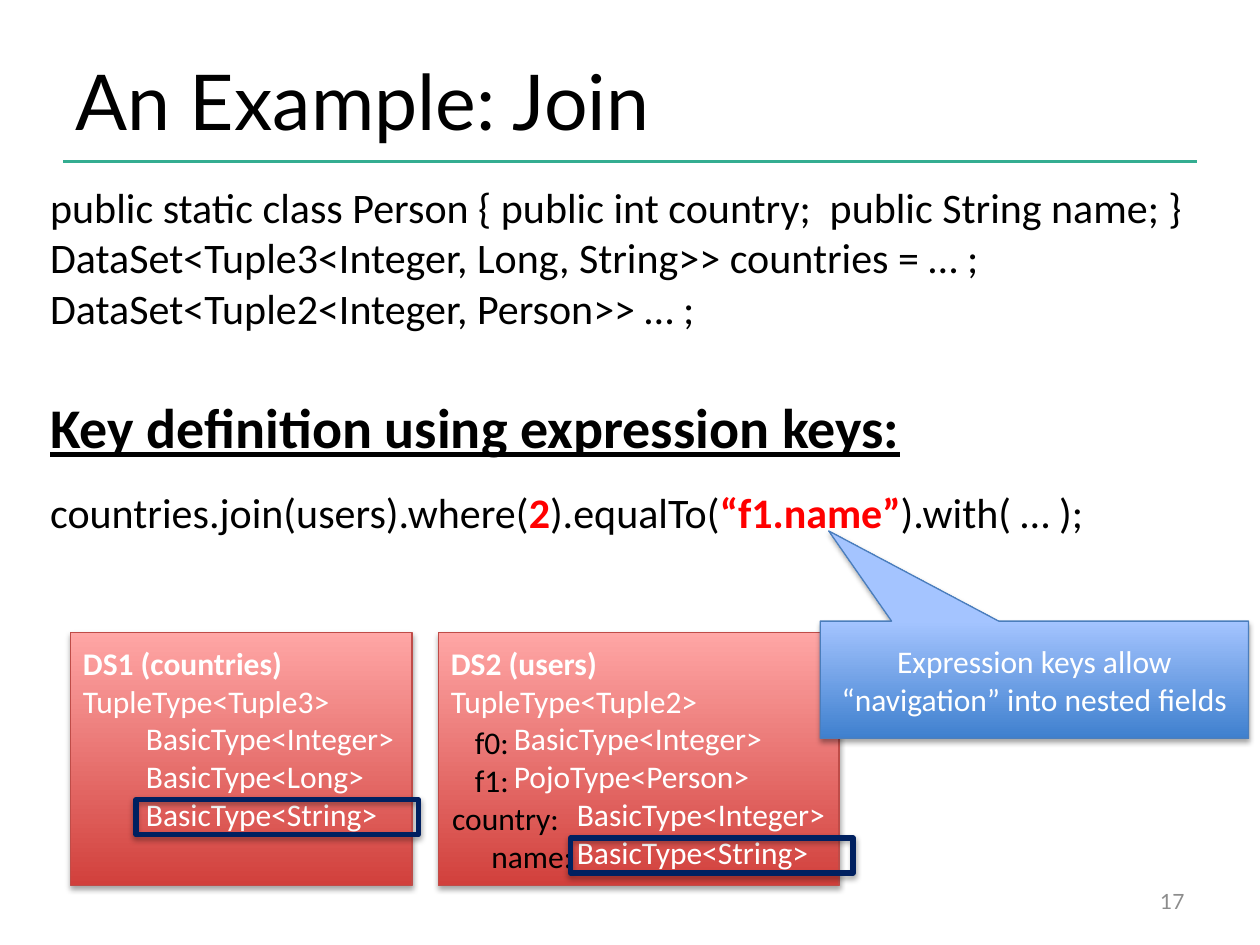
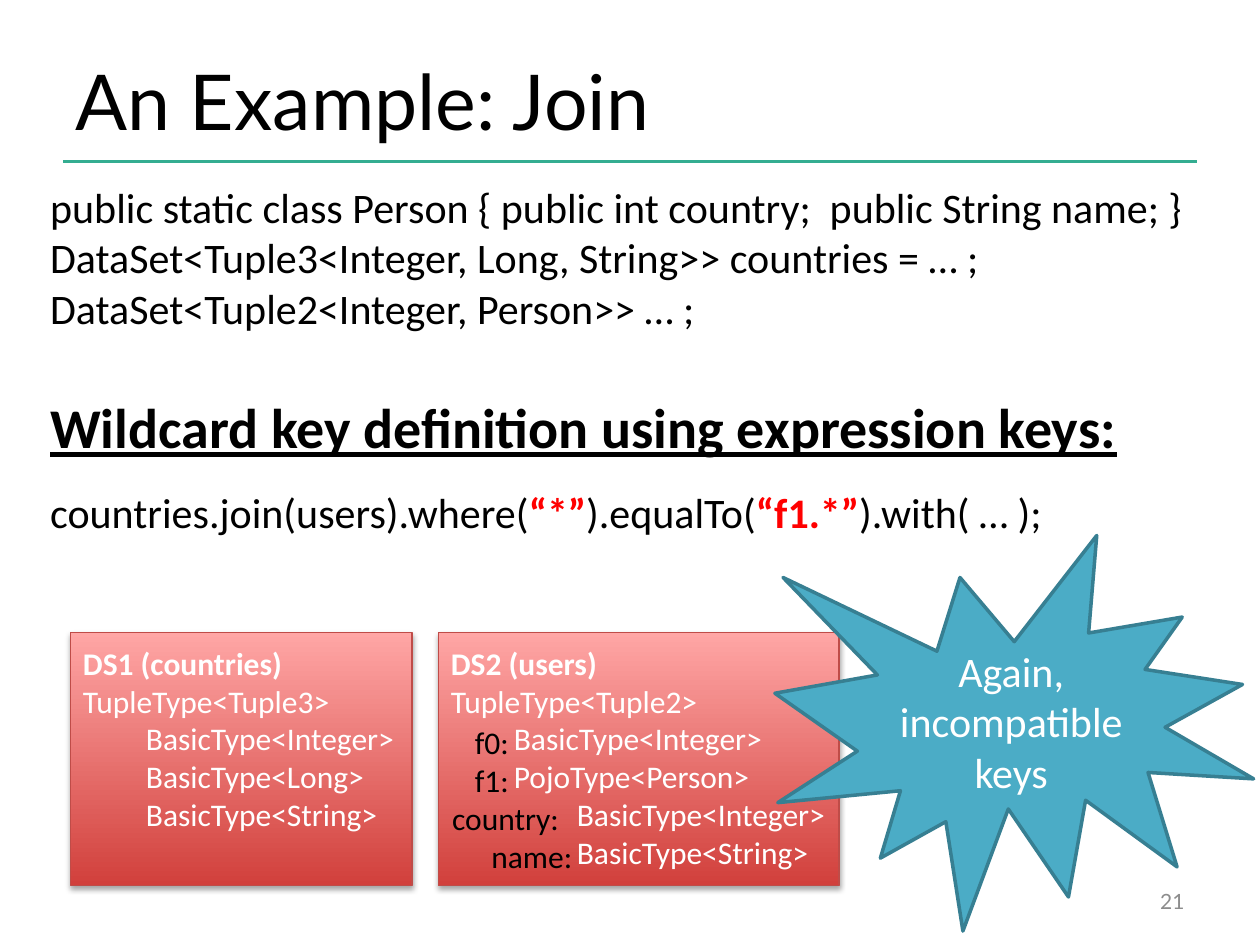
from collections import namedtuple

from lxml import etree
from pptx import Presentation, util as u
from pptx.dml.color import RGBColor
from pptx.enum import shapes, text as t
from pptx.oxml import ns

COLORS = {
    "ink": "000000", "white": "FFFFFF", "key": "FF0000", "number": "8C8C8C",
    "rule": "34AD91", "mark": "002060",
    "red_dark": "D1403C", "red_light": "FFA6A5", "red_edge": "BF4C48",
    "blue_dark": "3F80CE", "blue_light": "A4C4FF", "blue_edge": "4B7EBC",
    "burst": "4BACC6", "burst_edge": "377F92",
}
TITLE_FONT, BODY_FONT = "Lato", "Calibri"

# The slide is a grid of 100 columns and 75 rows; boxes are given in cells.
CELL = u.Inches(0.1)
COLUMNS, ROWS = 100, 75
LINE_ROWS = 3.05  # height of one 18 pt line
Box = namedtuple("Box", "left top width height")

TITLE = Box(5, 3, 81.7, 9.8)
NUMBER = Box(71.7, 69.5, 23.3, 4)
CODE = Box(3, 13.9, 95, 29.3)
HEADING = Box(3, 30.7, 92, 6.4)
COUNTRIES = Box(5.6, 50.2, 27.1, 20.1)
USERS = Box(34.8, 50.2, 31.8, 20.1)
CALLOUT = Box(65.1, 49.3, 34, 9.3)
BURST = Box(61.5, 42.5, 38, 31.4)

# Each line of a panel: its text and its indent in cells
COUNTRY_LINES = [("TupleType<Tuple3>", 0), ("BasicType<Integer>", 5),
                 ("BasicType<Long>", 5), ("BasicType<String>", 5)]
USER_LINES = [("TupleType<Tuple2>", 0), ("BasicType<Integer>", 5),
              ("PojoType<Person>", 5), ("BasicType<Integer>", 10),
              ("BasicType<String>", 10)]


def cells(count):
    return round(count * CELL)


def emu(box):
    return [cells(side) for side in box]


def inside(box, left, top, width, height):
    """Box placed by its offset from the corner of another box."""
    return Box(box.left + left, box.top + top, width, height)


def rgb(name):
    return RGBColor.from_string(COLORS[name])


def write(frame, text, size=18, color="ink", font=BODY_FONT, bold=False,
          underline=False, align=t.PP_ALIGN.LEFT, indent=0, before=0):
    """Write one paragraph; parts between bars are bold keys."""
    para = frame.add_paragraph() if frame.text else frame.paragraphs[0]
    para.alignment = align
    para.space_before = u.Pt(before)
    if indent:
        para._p.get_or_add_pPr().set("marL", str(cells(indent)))
    for index, part in enumerate(text.split("|")):
        is_key = index % 2 == 1
        span = para.add_run()
        span.text = part
        span.font.size = u.Pt(size)
        span.font.name = font
        span.font.bold = bold or is_key
        span.font.underline = underline
        span.font.color.rgb = rgb("key" if is_key else color)


def add_text_frame(page, box, anchor=t.MSO_ANCHOR.TOP):
    frame = page.shapes.add_textbox(*emu(box)).text_frame
    frame.word_wrap = True
    frame.vertical_anchor = anchor
    return frame


def add_shadow(shape):
    effects = shape._element.spPr.find(ns.qn("a:effectLst"))
    shadow = etree.SubElement(effects, ns.qn("a:outerShdw"), blurRad="40000",
                              dist="23000", dir="5400000", rotWithShape="0")
    color = etree.SubElement(shadow, ns.qn("a:srgbClr"), val=COLORS["ink"])
    etree.SubElement(color, ns.qn("a:alpha"), val="35000")


def add_shape(page, kind, box, edge, weight, fill=(), shadow=True):
    """Add a shape with no fill, one colour, or a bottom-to-top gradient."""
    shape = page.shapes.add_shape(kind, *emu(box))
    shape.shadow.inherit = False
    if shadow:
        add_shadow(shape)
    shape.line.color.rgb = rgb(edge)
    shape.line.width = u.Pt(weight)
    if len(fill) == 2:
        shape.fill.gradient()
        shape.fill.gradient_angle = 90
        for stop, name in zip(shape.fill.gradient_stops, fill):
            stop.color.rgb = rgb(name)
    elif fill:
        shape.fill.solid()
        shape.fill.fore_color.rgb = rgb(fill[0])
    else:
        shape.fill.background()
    shape.text_frame.word_wrap = True
    shape.text_frame.vertical_anchor = t.MSO_ANCHOR.MIDDLE
    return shape


def add_frame(page, title_box, number_box, number):
    """Title with the rule under it, and the slide number."""
    height = cells(title_box.top + title_box.height)
    rule = page.shapes.add_connector(
        shapes.MSO_CONNECTOR.STRAIGHT, cells(title_box.left), height,
        cells(COLUMNS - title_box.left), height)
    rule.line.color.rgb = rgb("rule")
    rule.line.width = u.Pt(2)
    etree.SubElement(rule._element.spPr, ns.qn("a:effectLst"))
    write(add_text_frame(page, title_box, t.MSO_ANCHOR.MIDDLE),
          "An Example: Join", size=44, font=TITLE_FONT)
    write(add_text_frame(page, number_box, t.MSO_ANCHOR.MIDDLE), str(number),
          size=12, font=TITLE_FONT, color="number", align=t.PP_ALIGN.RIGHT)


def add_code(page, box, heading_box, heading, join):
    frame = add_text_frame(page, box)
    for line in ("public static class Person { public int country;  public String name; }",
                 "DataSet<Tuple3<Integer, Long, String>> countries = … ;",
                 "DataSet<Tuple2<Integer, Person>> … ;"):
        write(frame, line, size=24)
    write(frame, join, size=24, before=88)
    write(add_text_frame(page, heading_box), heading, size=32, bold=True,
          underline=True)


def add_panel(page, box, heading, lines):
    panel = add_shape(page, shapes.MSO_SHAPE.RECTANGLE, box, "red_edge", 0.75,
                      ("red_dark", "red_light"))
    frame = panel.text_frame
    frame.vertical_anchor = t.MSO_ANCHOR.TOP
    frame.margin_top = cells(0.9)
    write(frame, heading, color="white", bold=True)
    for line, indent in lines:
        write(frame, line, color="white", indent=indent)


def add_field_names(page, box):
    """Names of the fields, set beside the types in the users panel."""
    outer = add_text_frame(page, inside(box, 1.9, 6.7, 6.2, 7.1))
    write(outer, "f0:")
    write(outer, "f1:")
    nested = add_text_frame(page, inside(box, 0.1, 12.7, 11.5, 7.1))
    write(nested, "country:")
    write(nested, "name:", align=t.PP_ALIGN.RIGHT)


def add_mark(page, panel_box, left, row):
    """Outline one line of a panel."""
    add_shape(page, shapes.MSO_SHAPE.RECTANGLE,
              inside(panel_box, left, 1.05 + row * LINE_ROWS, 22.4, 2.8),
              "mark", 3)


def add_callout(page, box):
    callout = add_shape(page, shapes.MSO_SHAPE.RECTANGULAR_CALLOUT, box,
                        "blue_edge", 0.75, ("blue_dark", "blue_light"))
    callout.adjustments[0] = -0.48
    callout.adjustments[1] = -1.27
    write(callout.text_frame,
          "Expression keys allow “navigation” into nested fields",
          color="white", align=t.PP_ALIGN.CENTER)


def add_burst(page, box):
    burst = add_shape(page, shapes.MSO_SHAPE.EXPLOSION1, box, "burst_edge", 2,
                      ("burst",), shadow=False)
    write(burst.text_frame, "Again, incompatible keys", size=24, color="white",
          align=t.PP_ALIGN.CENTER)


def add_join_slide(deck, number, heading, join):
    """Everything that both join slides share."""
    page = deck.slides.add_slide(deck.slide_layouts[6])
    add_frame(page, TITLE, NUMBER, number)
    add_code(page, CODE, HEADING, heading, join)
    add_panel(page, COUNTRIES, "DS1 (countries)", COUNTRY_LINES)
    add_panel(page, USERS, "DS2 (users)", USER_LINES)
    add_field_names(page, USERS)
    return page


def main():
    deck = Presentation()
    deck.slide_width, deck.slide_height = cells(COLUMNS), cells(ROWS)

    page = add_join_slide(
        deck, 17, "Key definition using expression keys:",
        "countries.join(users).where(|2|).equalTo(|“f1.name”|).with( … );")
    add_mark(page, COUNTRIES, left=5.2, row=4)
    add_mark(page, USERS, left=10.5, row=5)
    add_callout(page, CALLOUT)

    page = add_join_slide(
        deck, 21, "Wildcard key definition using expression keys:",
        "countries.join(users).where(|“*”|).equalTo(|“f1.*”|).with( … );")
    add_burst(page, BURST)

    deck.save("out.pptx")


if __name__ == "__main__":
    main()
